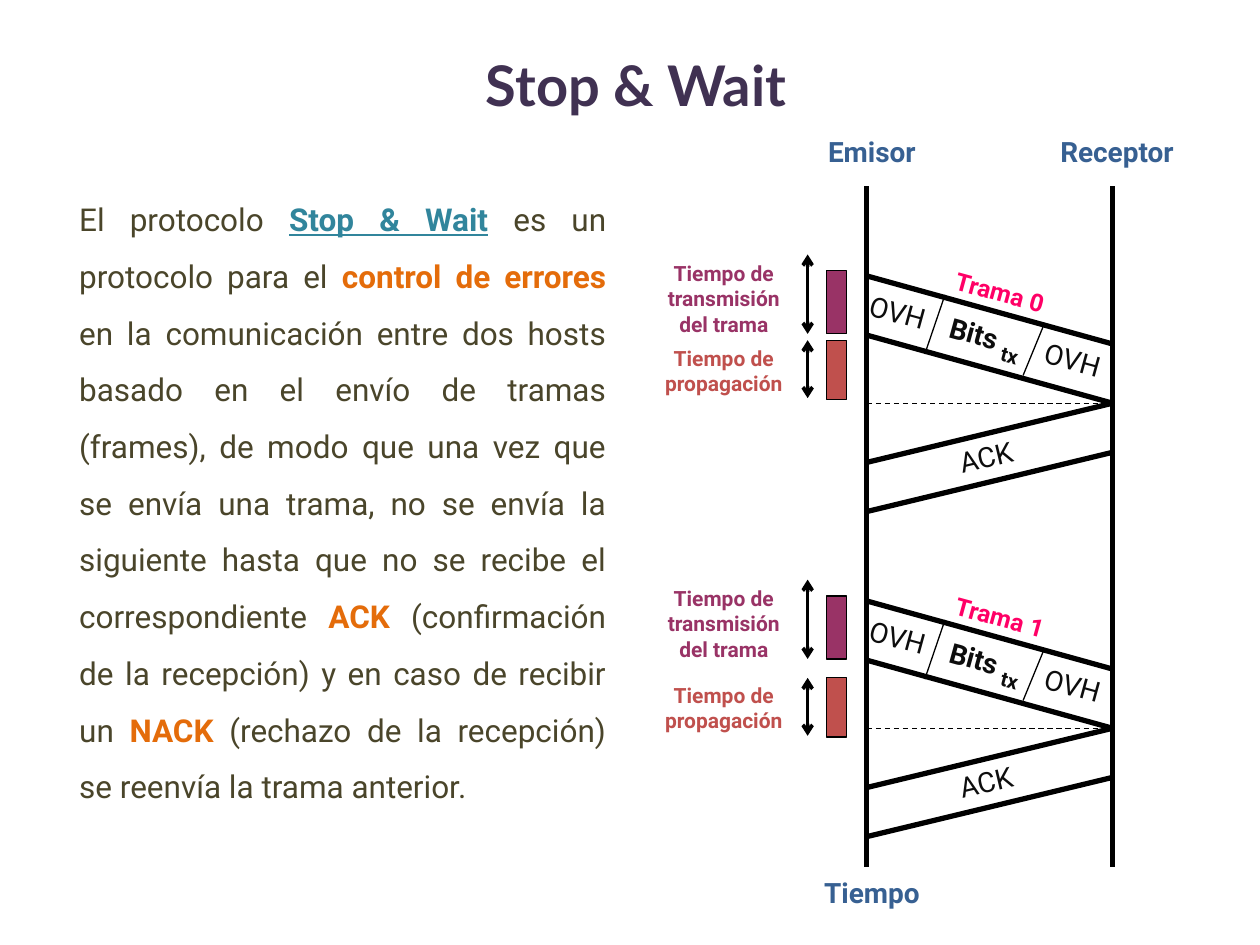
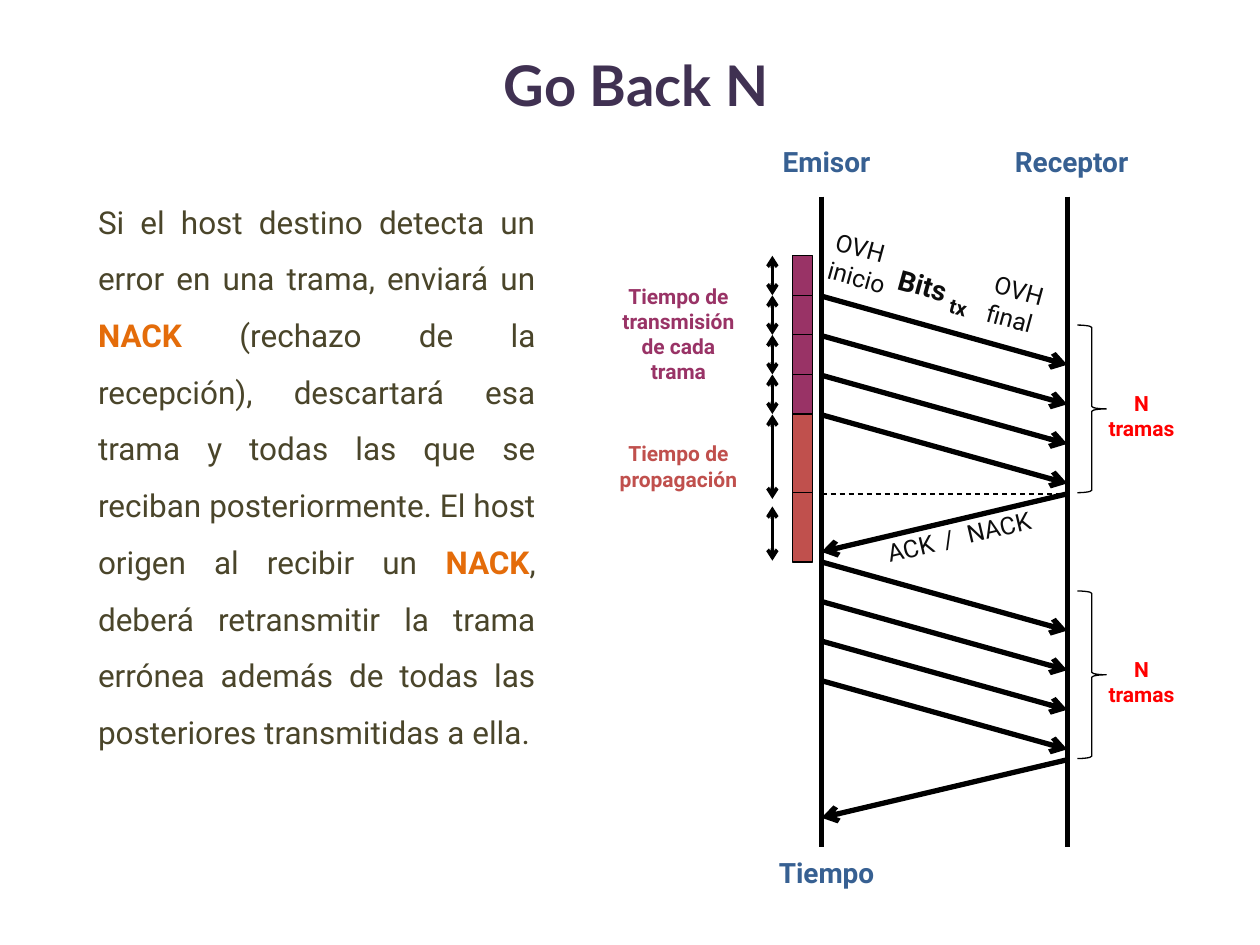
from collections import namedtuple
from lxml.etree import SubElement
from pptx import Presentation
from pptx.dml.color import RGBColor
from pptx.enum.dml import MSO_LINE
from pptx.enum.shapes import MSO_CONNECTOR, MSO_SHAPE
from pptx.enum.text import MSO_ANCHOR, MSO_AUTO_SIZE, PP_ALIGN
from pptx.oxml.ns import qn
from pptx.util import Inches, Pt

HUES = {
    "title": "403152", "body": "4A452A", "term": "31859C", "key": "E46C0A",
    "host": "376092", "ink": "0D0D0D", "line": "000000", "frame": "993366",
    "prop": "C0504D", "pink": "FF0066", "red": "FF0000", "paper": "FFFFFF",
}
COLS, ROWS = 100, 75
DOWN, UP = 15.3, -13.4
Box = namedtuple("Box", "x y w h")


def cell(count):
    """Turn grid cells into a length."""
    return Inches(count / 10)


def hue(name):
    """Look up a colour."""
    return RGBColor.from_string(HUES[name])


def within(box, x, y, w=0, h=0):
    """Shift a part into its box."""
    return Box(box.x + x, box.y + y, w, h)


def style(run, size, tone, bold=False, face="Roboto"):
    """Format one run."""
    run.font.name, run.font.size = face, Pt(size)
    run.font.bold, run.font.color.rgb = bold, hue(tone)


def write(slide, box, text, size, tone, bold=False, turn=0, align=PP_ALIGN.CENTER):
    """Place a text box and return its shape."""
    shape = slide.shapes.add_textbox(*map(cell, box))
    shape.rotation = turn
    frame = shape.text_frame
    frame.text = text
    frame.word_wrap, frame.auto_size = True, MSO_AUTO_SIZE.SHAPE_TO_FIT_TEXT
    for para in frame.paragraphs:
        para.alignment = align
        for run in para.runs:
            style(run, size, tone, bold)
    return shape


def line(slide, box, start, end, width=3, heads=(), dash=False):
    """Draw a line between two points of a box."""
    ends = [cell(n) for x, y in (start, end) for n in (box.x + x, box.y + y)]
    link = slide.shapes.add_connector(MSO_CONNECTOR.STRAIGHT, *ends)
    SubElement(link._element.spPr, qn("a:effectLst"))
    link.line.color.rgb, link.line.width = hue("line"), Pt(width)
    if dash:
        link.line.dash_style = MSO_LINE.DASH
    for head in heads:
        SubElement(link.line._ln, qn(f"a:{head}End")).set("type", "arrow")


def form(slide, kind, box, tone):
    """Place a filled shape with a thin outline."""
    shape = slide.shapes.add_shape(kind, *map(cell, box))
    shape.shadow.inherit = False
    shape.fill.solid()
    shape.fill.fore_color.rgb = hue(tone)
    shape.line.color.rgb, shape.line.width = hue("line"), Pt(0.75)
    return shape


def span(slide, box, x, top, end):
    """Draw a two-headed time arrow."""
    line(slide, box, (x, top), (x, end), 2, ("head", "tail"))


def bar(slide, box, x, top, high, tone):
    """Draw a time bar."""
    form(slide, MSO_SHAPE.RECTANGLE, within(box, x, top, 1.6, high), tone)


def note(slide, box, y, text, tone):
    """Label a time span to the left of the box."""
    x, w = (-17.2, 11.7) if tone == "frame" else (-18, 13.3)
    write(slide, within(box, x, y, w, 5), text, 12, tone, True)


def head(slide, text):
    """Write the slide title."""
    shape = write(slide, Box(1.5, 0.4, COLS - 2, 12.5), text, 32, "title", True)
    frame = shape.text_frame
    frame.auto_size, frame.vertical_anchor = MSO_AUTO_SIZE.NONE, MSO_ANCHOR.MIDDLE
    style(frame.paragraphs[0].runs[0], 32, "title", True, "Lato")


def body(slide, box, parts):
    """Write a justified paragraph of plain and coloured parts."""
    shape = write(slide, box, "", 18, "body", align=PP_ALIGN.JUSTIFY)
    para = shape.text_frame.paragraphs[0]
    para.line_spacing = 1.5
    for text, tone in parts:
        run = para.add_run()
        run.text = text
        style(run, 18, tone, tone != "body")
        if tone == "term":
            run.font.underline = True


def axes(slide, box):
    """Draw the sender and receiver time lines."""
    for x in (0, box.w):
        line(slide, box, (x, 0), (x, box.h))
    for text, x, y, w in (("Emisor", -4.7, -4.65, 10.2),
                          ("Receptor", 14, -4.65, 11.7),
                          ("Tiempo", -4.7, box.h + 0.2, 10.2)):
        write(slide, within(box, x, y, w, 3.7), text, 16, "host", True)


def bits(para):
    """Add the data bits with their subscript."""
    for text, size in (("Bits ", 16), ("tx", 20)):
        run = para.add_run()
        run.text = text
        style(run, size, "ink", True)
    run._r.get_or_add_rPr().set("baseline", "-25000")


def fields(slide, box):
    """Write the three fields of a frame along its slope."""
    shape = write(slide, box, "OVH\t", 16, "ink", turn=DOWN, align=PP_ALIGN.LEFT)
    shape.text_frame.margin_right = 0
    para = shape.text_frame.paragraphs[0]
    stops = SubElement(para._p.get_or_add_pPr(), qn("a:tabLst"))
    for stop in (6.6, 14.4):
        tab = SubElement(stops, qn("a:tab"))
        tab.set("pos", str(cell(stop)))
        tab.set("algn", "l")
    bits(para)
    last = para.add_run()
    last.text = "\tOVH"
    style(last, 16, "ink")


def cycle(slide, box, name, gap):
    """Draw one frame, its answer and its time spans."""
    right, slope, fall = box.w, 5.4, 4.7
    meet = slope + fall
    for top in (0, fall):
        line(slide, box, (0, top), (right, top + slope))
    for top in (meet, meet + 3.9):
        line(slide, box, (0, top + fall), (right, top))
    line(slide, box, (6.2, 1.5), (4.6, 6.2), 0.75)
    line(slide, box, (14, 4), (12.4, 7.9), 0.75)
    line(slide, box, (0, meet), (right, meet), 0.75, dash=True)
    fields(slide, within(box, -1, 2.4, 21.1, 4.4))
    write(slide, within(box, -1.1, 12.5, 21.1, 3.7), "ACK", 16, "ink", turn=UP)
    write(slide, within(box, 0, -0.4, 21.1, 3.4), name, 14, "pink", True, DOWN)
    span(slide, box, -4.7, -1.7, 4.6)
    bar(slide, box, -3.2, -0.4, 5, "frame")
    note(slide, box, -1.7, "Tiempo de transmisión del trama", "frame")
    span(slide, box, -4.7, gap, gap + 4.6)
    bar(slide, box, -3.2, gap, 4.7, "prop")
    note(slide, box, gap - 0.1, "Tiempo de propagación", "prop")


def burst(slide, box, step):
    """Draw a run of four frames, their brace and the answer."""
    for i in range(4):
        line(slide, box, (0, i * step), (box.w, i * step + 5.45), heads=["tail"])
    line(slide, box, (box.w, 15.7), (0, 20.3), heads=["tail"])
    brace = form(slide, MSO_SHAPE.LEFT_BRACE, within(box, 20.3, 2.3, 2.3, 13.3), "paper")
    brace.rotation = 180
    write(slide, within(box, 21.1, 7, 8.6, 5), "N\ntramas", 12, "red", True)


def spans(slide, box, step):
    """Draw the column of time spans beside the sender."""
    for i in range(4):
        span(slide, box, -3.9, i * step, (i + 1) * step)
        bar(slide, box, -2.3, i * step, step, "frame")
    for top, high, start, end in ((12.6, 6.2, 12.6, 19.3), (18.8, 5.5, 19.9, 24.2)):
        bar(slide, box, -2.3, top, high, "prop")
        span(slide, box, -3.9, start, end)
    note(slide, box, 1.7, "Tiempo de transmisión de cada trama", "frame")
    note(slide, box, 14.2, "Tiempo de propagación", "prop")


def marks(slide, box):
    """Label the first frame and the answer of a burst."""
    for text, x, y in (("OVH inicio", -0.2, -5.4), ("OVH final", 12.4, -2)):
        write(slide, within(box, x, y, 7.3, 5.7), text, 14, "ink",
              turn=DOWN, align=PP_ALIGN.LEFT)
    shape = write(slide, within(box, 5.1, -2.8, 9.4, 4.4), "", 16, "ink",
                  turn=DOWN, align=PP_ALIGN.LEFT)
    bits(shape.text_frame.paragraphs[0])
    shape = write(slide, within(box, 1.1, 17.4, 19.7, 3.7), "ACK", 14, "ink", turn=UP)
    for text, space in ((" / ", "230"), ("NACK", "0")):
        run = shape.text_frame.paragraphs[0].add_run()
        run.text = text
        style(run, 14, "ink")
        run._r.get_or_add_rPr().set("spc", space)
    line(slide, box, (0, 15.7), (box.w, 15.7), 0.75, dash=True)


def wait(slide, box):
    """Lay out the Stop & Wait chart."""
    axes(slide, box)
    for i, gap in enumerate((5.1, 6.1)):
        cycle(slide, within(box, 0, 7.1 + i * 25.8, box.w), f"Trama {i}", gap)


def back(slide, box):
    """Lay out the Go Back N chart."""
    step = 3.14
    axes(slide, box)
    first = within(box, 0, 7.9, box.w)
    marks(slide, first)
    spans(slide, within(box, 0, 4.7), step)
    for top in (0, 21.1):
        burst(slide, within(first, 0, top, box.w), step)


STOP = (
    ("El protocolo ", "body"), ("Stop & Wait", "term"),
    (" es un protocolo para el ", "body"), ("control de errores ", "key"),
    ("en la comunicación entre dos hosts basado en el envío de tramas (frames), "
     "de modo que una vez que se envía una trama, no se envía la siguiente hasta "
     "que no se recibe el correspondiente ", "body"), ("ACK", "key"),
    (" (confirmación de la recepción) y en caso de recibir un ", "body"),
    ("NACK", "key"),
    (" (rechazo de la recepción) se reenvía la trama anterior.", "body"),
)
BACK = (
    ("Si el host destino detecta un error en una trama, enviará un ", "body"),
    ("NACK", "key"),
    (" (rechazo de la recepción), descartará esa trama y todas las que se reciban "
     "posteriormente. El host origen al recibir un ", "body"), ("NACK", "key"),
    (", deberá retransmitir la trama errónea además de todas las posteriores "
     "transmitidas a ella.", "body"),
)


def main():
    """Build the deck."""
    deck = Presentation()
    deck.slide_width, deck.slide_height = cell(COLS), cell(ROWS)
    for title, parts, place, chart, area in (
        ("Stop & Wait", STOP, Box(5.3, 13.9, 43.8, 46), wait, Box(68.8, 14.8, 19.5, 54)),
        ("Go Back N", BACK, Box(6.8, 14.1, 36.7, 51), back, Box(65.2, 15.6, 19.5, 51.6)),
    ):
        slide = deck.slides.add_slide(deck.slide_layouts[6])
        body(slide, place, parts)
        chart(slide, area)
        head(slide, title)
    deck.save("out.pptx")


if __name__ == "__main__":
    main()
